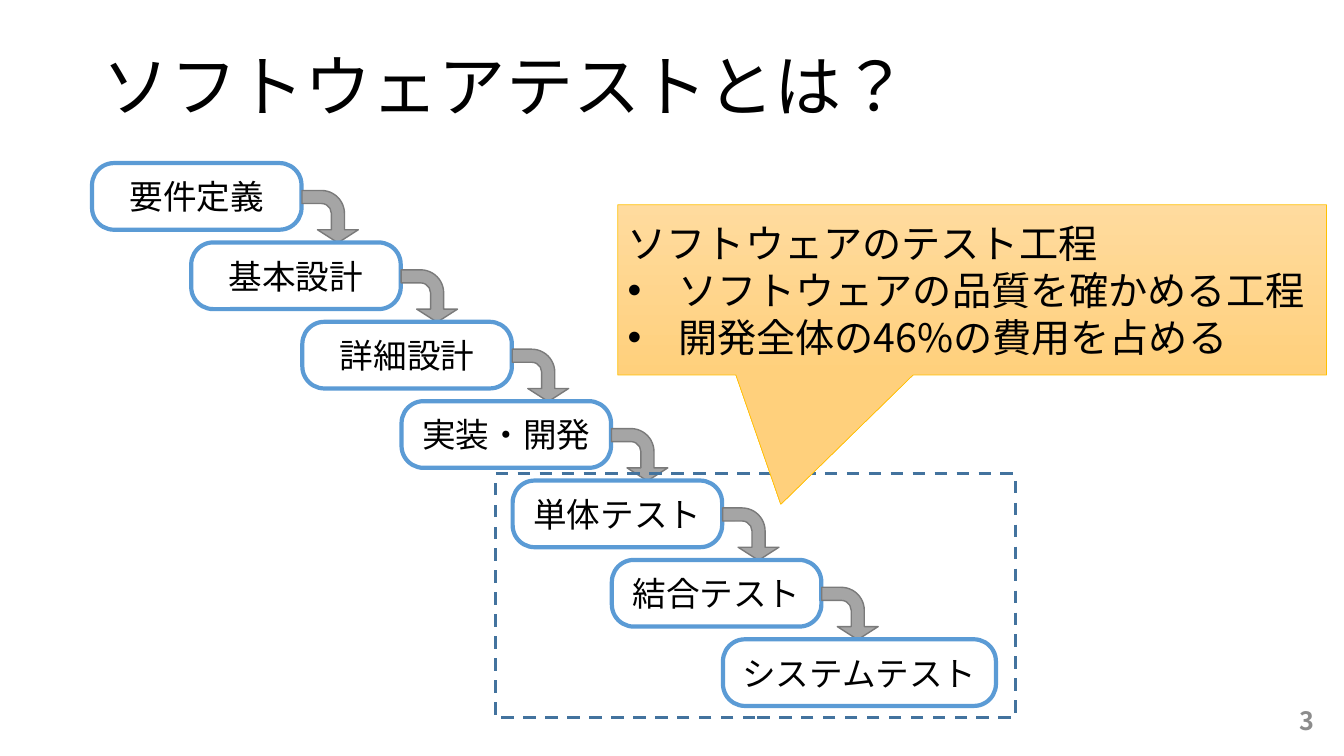
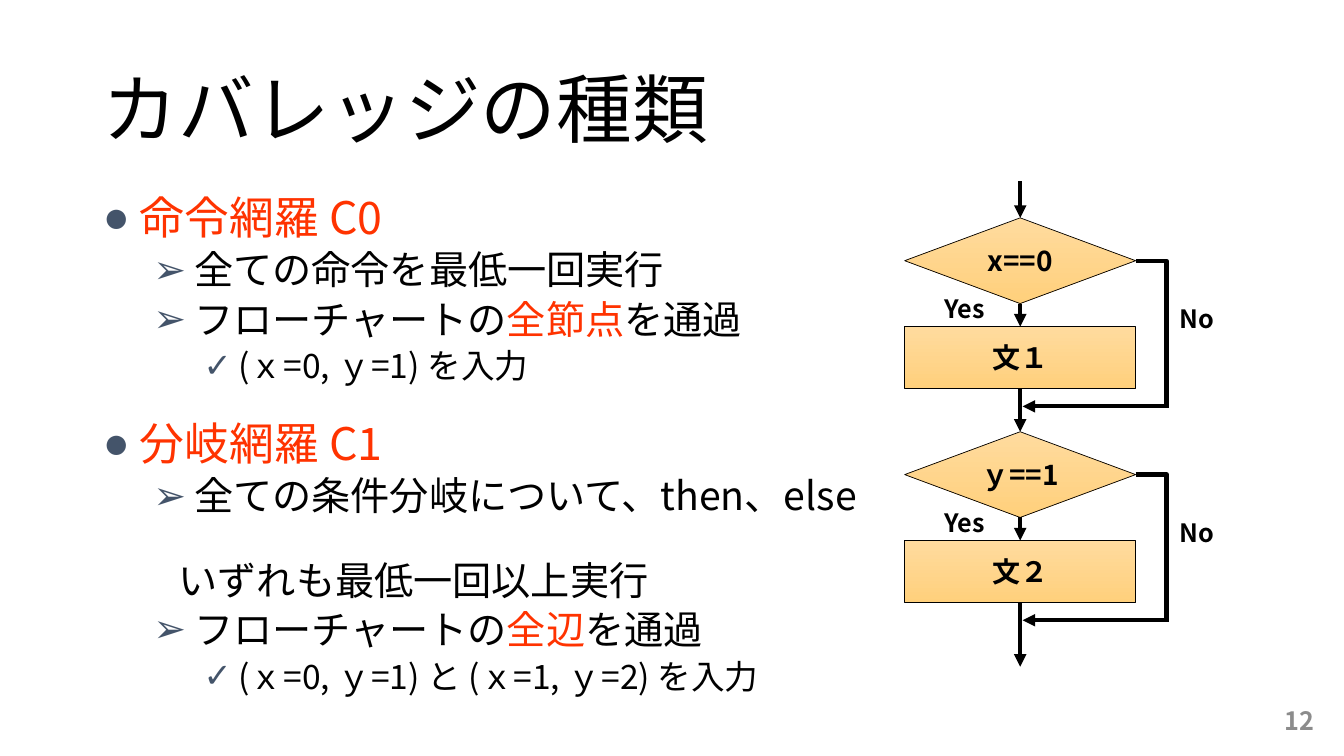
from lxml import etree
from pptx import Presentation
from pptx.dml.color import RGBColor
from pptx.enum import dml, lang, shapes, text as t
from pptx.oxml import ns
from pptx.util import Cm, Pt

# Shared style
FONT = "Noto Sans CJK JP"
BLACK = RGBColor(0x00, 0x00, 0x00)
WHITE = RGBColor(0xFF, 0xFF, 0xFF)
RED = RGBColor(0xFF, 0x33, 0x00)
BLUE = RGBColor(0x5B, 0x9B, 0xD5)
DARK_BLUE = RGBColor(0x43, 0x73, 0x9E)
SLATE = RGBColor(0x44, 0x54, 0x6A)
GRAY = RGBColor(0xA5, 0xA5, 0xA5)
DARK_GRAY = RGBColor(0x7A, 0x7A, 0x7A)
PAGE_GRAY = RGBColor(0x8C, 0x8C, 0x8C)
GOLD = RGBColor(0xFF, 0xC0, 0x00)
ORANGE_GRADIENT = (RGBColor(0xFF, 0xDB, 0x9E), RGBColor(0xFF, 0xD0, 0x7C))

LEFT, CENTER, RIGHT = t.PP_ALIGN.LEFT, t.PP_ALIGN.CENTER, t.PP_ALIGN.RIGHT
MIDDLE = t.MSO_ANCHOR.MIDDLE
SHAPE = shapes.MSO_SHAPE

# Bullet, font size, left margin and first-line indent (cm) of each list level
LEVELS = (("●", 32, 0.93, -0.93), ("➢", 28, 2.3, -1.03), ("✓", 24, 3.42, -0.88))


def lengths(*values):
    return [Cm(value) for value in values]


def set_bullet(paragraph, character, margin, indent, color=None):
    properties = paragraph._p.get_or_add_pPr()
    properties.set("marL", str(Cm(margin)))
    properties.set("indent", str(Cm(indent)))
    if not character:
        etree.SubElement(properties, ns.qn("a:buNone"))
        return
    if color is not None:
        holder = etree.SubElement(properties, ns.qn("a:buClr"))
        etree.SubElement(holder, ns.qn("a:srgbClr"), val=str(color))
    etree.SubElement(properties, ns.qn("a:buFont"), typeface="Arial")
    etree.SubElement(properties, ns.qn("a:buChar"), char=character)


def write(paragraph, text, size=24, color=BLACK, bold=False, align=LEFT,
          spacing=None, before=0):
    """Add one run to a paragraph and format both."""
    paragraph.alignment = align
    paragraph.space_before = Pt(before)
    if spacing:
        paragraph.line_spacing = spacing
    run = paragraph.add_run()
    run.text = text
    run.font.size = Pt(size)
    run.font.bold = bold
    run.font.color.rgb = color
    run.font.name = FONT
    run.font.language_id = lang.MSO_LANGUAGE_ID.JAPANESE
    etree.SubElement(run._r.get_or_add_rPr(), ns.qn("a:ea"), typeface=FONT)


def add_box(slide, kind, box, fill=None, line=BLACK, width=0.5, adjust=()):
    shape = slide.shapes.add_shape(kind, *lengths(*box))
    shape.shadow.inherit = False
    if fill is None:
        shape.fill.background()
    elif fill is ORANGE_GRADIENT:
        shape.fill.gradient()
        shape.fill.gradient_angle = 270
        for stop, color in zip(shape.fill.gradient_stops, fill):
            stop.color.rgb = color
    else:
        shape.fill.solid()
        shape.fill.fore_color.rgb = fill
    shape.line.color.rgb = line
    shape.line.width = Pt(width)
    for index, value in enumerate(adjust):
        shape.adjustments[index] = value
    shape.text_frame.word_wrap = True
    shape.text_frame.vertical_anchor = MIDDLE
    return shape


def add_label(slide, box, text, anchor=t.MSO_ANCHOR.TOP, **style):
    frame = slide.shapes.add_textbox(*lengths(*box)).text_frame
    frame.word_wrap = True
    frame.vertical_anchor = anchor
    write(frame.paragraphs[0], text, size=18, bold=True, **style)


def add_line(slide, start, end, source=None, target=None, arrow=True,
             kind=shapes.MSO_CONNECTOR.STRAIGHT):
    """Draw a line; source is left at its bottom, target met at its top."""
    connector = slide.shapes.add_connector(kind, *lengths(*start, *end))
    if source is not None:
        connector.begin_connect(source, 2)
    if target is not None:
        connector.end_connect(target, 0)
    connector.line.color.rgb = BLACK
    connector.line.width = Pt(3)
    properties = connector._element.spPr
    if arrow:
        etree.SubElement(connector.line._get_or_add_ln(),
                         ns.qn("a:tailEnd"), type="triangle")
    etree.SubElement(properties, ns.qn("a:effectLst"))
    return connector


def place(placeholder, box):
    placeholder.left, placeholder.top, placeholder.width, placeholder.height = (
        lengths(*box))
    frame = placeholder.text_frame
    frame.auto_size = t.MSO_AUTO_SIZE.NONE
    frame.word_wrap = True
    return frame


def new_slide(presentation, layout, title, top, size, number):
    """Add a slide with its title and page number."""
    slide = presentation.slides.add_slide(presentation.slide_layouts[layout])
    frame = place(slide.shapes.title, (2.34, top, 29.21, 3.68))
    frame.vertical_anchor = MIDDLE
    write(frame.paragraphs[0], title, size=size, spacing=0.9)
    add_label(slide, (25.76, 17.65, 7.62, 1.02), number, MIDDLE,
              color=PAGE_GRAY, align=RIGHT)
    return slide


# Slide: development process
def add_waterfall(slide, left, top, names):
    """Steps go down evenly, with every second shift a little wider."""
    height, last = 1.68, len(names) - 1
    for index, name in enumerate(names):
        x = left + 2.5 * index + 0.3 * (index // 2)
        y = top + 2 * index
        width = 6.88 if index == last else 5.28
        step = add_box(slide, SHAPE.ROUNDED_RECTANGLE, (x, y, width, height),
                       WHITE, BLUE, 3, [0.33])
        write(step.text_frame.paragraphs[0], name, align=CENTER)
        if index < last:
            arrow = add_box(slide, SHAPE.BENT_ARROW,
                            (x + width + 0.06, y + 0.64, 1.32, 1.42),
                            GRAY, DARK_GRAY, 1, (0.25, 0.39, 0.25, 0.44))
            arrow.rotation = 90


def add_callout(slide, box, heading, points):
    callout = add_box(slide, SHAPE.RECTANGULAR_CALLOUT, box, ORANGE_GRADIENT,
                      GOLD, adjust=(-0.27, 1.26))
    frame = callout.text_frame
    write(frame.paragraphs[0], heading, size=28)
    for point in points:
        paragraph = frame.add_paragraph()
        set_bullet(paragraph, "•", 1.27, -1.27)
        write(paragraph, point, size=28)


def build_process_slide(presentation):
    slide = new_slide(presentation, 5, "ソフトウェアテストとは？", 0.43, 48, "3")
    add_waterfall(slide, 2.32, 4.11, (
        "要件定義", "基本設計", "詳細設計", "実装・開発",
        "単体テスト", "結合テスト", "システムテスト"))
    test_area = add_box(slide, SHAPE.RECTANGLE, (12.48, 11.94, 13.11, 6.15),
                        line=DARK_BLUE, width=2.25)
    test_area.line.dash_style = dml.MSO_LINE.DASH
    add_callout(slide, (15.57, 5.16, 17.86, 4.29), "ソフトウェアのテスト工程", (
        "ソフトウェアの品質を確かめる工程", "開発全体の46%の費用を占める"))


# Slide: kinds of coverage
def add_coverage_list(slide, box):
    through = "を通過"
    items = (  # level, space before, runs, continues the item above
        (0, 0, [("命令網羅 C0", RED)], False),
        (1, 5, [("全ての命令を最低一回実行", BLACK)], False),
        (1, 5, [("フローチャートの", BLACK), ("全節点", RED), (through, BLACK)], False),
        (2, 5, [("(ｘ=0, ｙ=1) を入力", BLACK)], False),
        (0, 25.5, [("分岐網羅 C1", RED)], False),
        (1, 5, [("全ての条件分岐について、then、else", BLACK)], False),
        (1, 30, [("いずれも最低一回以上実行", BLACK)], True),
        (1, 5, [("フローチャートの", BLACK), ("全辺", RED), (through, BLACK)], False),
        (2, 5, [("(ｘ=0, ｙ=1) と (ｘ=1, ｙ=2) を入力", BLACK)], False),
    )
    frame = place(slide.placeholders[1], box)
    for index, (level, before, runs, continued) in enumerate(items):
        paragraph = frame.add_paragraph() if index else frame.paragraphs[0]
        paragraph.level = level
        character, size, margin, indent = LEVELS[level]
        if continued:
            character, margin, indent = None, 1.91, 0
        set_bullet(paragraph, character, margin, indent, SLATE)
        for text, color in runs:
            write(paragraph, text, size, color, spacing=0.9, before=before)


def add_branch(slide, left, top, condition, statement, source=None):
    """Draw a decision with its statement and bypass; return the statement."""
    width, middle, side = 5.82, left + 2.91, left + 6.6
    nodes = []
    for kind, offset, height, text in (
            (SHAPE.FLOWCHART_DECISION, 0, 2.16, condition),
            (SHAPE.RECTANGLE, 2.74, 1.57, statement)):
        node = add_box(slide, kind, (left, top + offset, width, height),
                       ORANGE_GRADIENT)
        write(node.text_frame.paragraphs[0], text, size=20, bold=True,
              align=CENTER)
        nodes.append(node)
    decision, action = nodes

    # Main path
    add_line(slide, (middle, top - 0.92), (middle, top), source, decision)
    add_line(slide, (middle, top + 2.16), (middle, top + 2.74), decision, action)

    # Bypass: right and down, then back to the main path
    bypass = add_line(slide, (left + width, top + 1.08), (side, top + 4.75),
                      arrow=False, kind=shapes.MSO_CONNECTOR.ELBOW)
    bypass._element.spPr.find(ns.qn("a:prstGeom")).set("prst", "bentConnector2")
    add_line(slide, (side + 0.05, top + 4.75), (middle + 0.06, top + 4.75))

    add_label(slide, (left + 0.76, top + 1.78, 1.85, 1.02), "Yes")
    add_label(slide, (left + 6.68, top + 2.03, 1.85, 1.02), "No")
    return action


def add_flowchart(slide, left, top):
    pitch = 5.39
    action = None
    for index, (condition, statement) in enumerate(
            (("x==0", "文１"), ("ｙ==1", "文２"))):
        action = add_branch(slide, left, top + index * pitch, condition,
                            statement, action)
    middle = left + 2.91
    add_line(slide, (middle, top + pitch + 4.31), (middle, top + pitch + 5.92),
             action)


def build_coverage_slide(presentation):
    slide = new_slide(presentation, 1, "カバレッジの種類", 1.02, 54, "12")
    add_coverage_list(slide, (2.34, 4.8, 20.27, 12.73))
    add_flowchart(slide, 22.8, 5.49)


def main():
    presentation = Presentation()
    presentation.slide_width, presentation.slide_height = lengths(33.87, 19.05)
    build_process_slide(presentation)
    build_coverage_slide(presentation)
    presentation.save("out.pptx")


if __name__ == "__main__":
    main()
